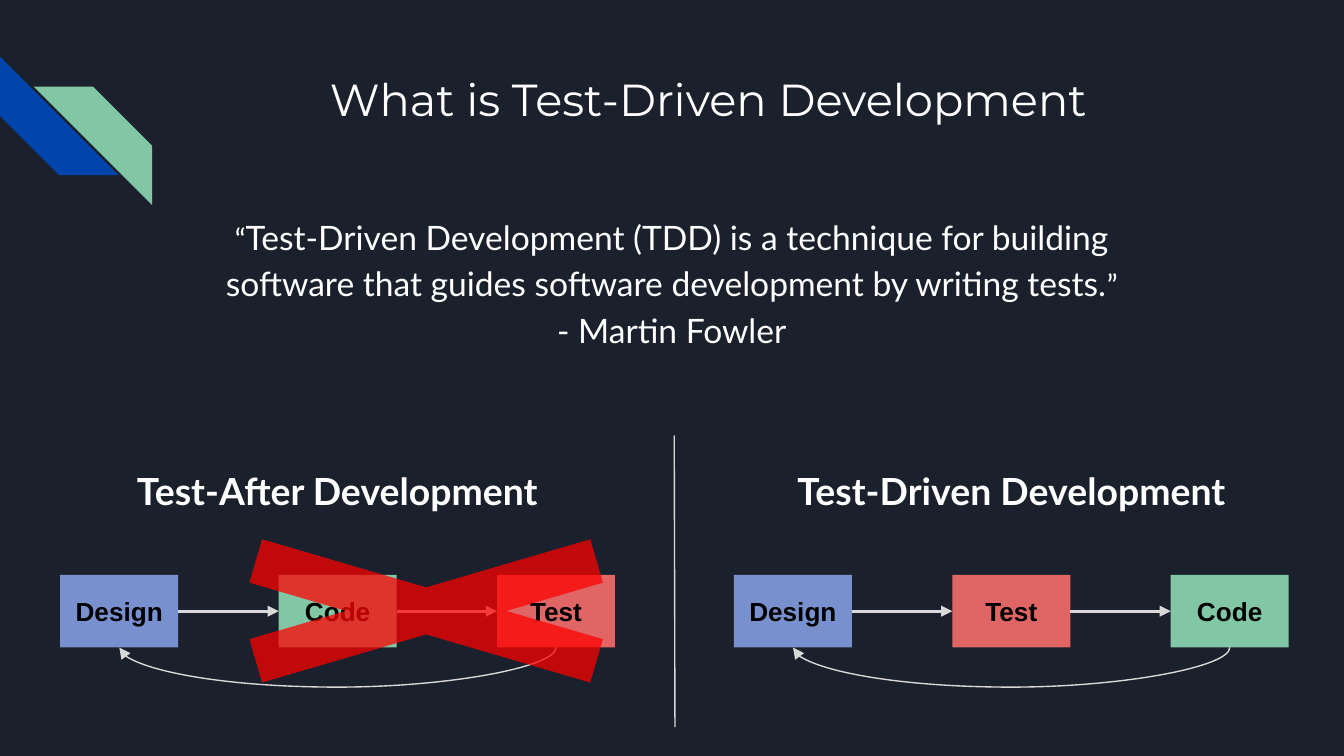
from lxml import etree
from pptx import Presentation
from pptx import util as u
from pptx.dml.color import RGBColor
from pptx.enum import shapes, text
from pptx.oxml.ns import qn

NIGHT = RGBColor(0x1B, 0x21, 0x2C)
WHITE = RGBColor(0xFF, 0xFF, 0xFF)
BLACK = RGBColor(0, 0, 0)
NAVY = RGBColor(0x01, 0x45, 0xAC)
GREEN = RGBColor(0x82, 0xC7, 0xA5)
BLUE = RGBColor(0x78, 0x90, 0xCD)
CORAL = RGBColor(0xE0, 0x66, 0x66)
RED = RGBColor(0xFF, 0, 0)
SILVER = RGBColor(0xD9, 0xD9, 0xD9)

STEP_WIDTH, STEP_HEIGHT, STEP_TOP, STEP_PITCH = 63.2, 38.9, 308, 117
LOOP_DEPTH, LOOP_SPAN = 18.75, 0.05
STEP_COLORS = {"Design": BLUE, "Code": GREEN, "Test": CORAL}


def write(para, words, size=18, font="Lato", color=WHITE, bold=False):
    span = para.add_run()
    span.text = words
    span.font.size = u.Pt(size)
    span.font.name = font
    span.font.color.rgb = color
    span.font.bold = bold


class Sketch:
    heading = {"size": 20, "bold": True}
    label = {"size": 14, "font": "Arial", "color": BLACK, "bold": True}
    inset = 7.2

    def __init__(self, deck):
        self.page = deck.slides.add_slide(deck.slide_layouts[6])
        self.page.background.fill.solid()
        self.page.background.fill.fore_color.rgb = NIGHT

    def frame(self, box, anchor):
        frame = box.text_frame
        frame.word_wrap = True
        frame.vertical_anchor = anchor
        frame.margin_left = frame.margin_right = u.Pt(self.inset)
        frame.margin_top = frame.margin_bottom = u.Pt(self.inset)
        return frame

    def textbox(self, left, top, width, height, lines, spacing=1.0):
        box = self.page.shapes.add_textbox(*map(u.Pt, (left, top, width, height)))
        frame = self.frame(box, text.MSO_ANCHOR.TOP)
        for index, spans in enumerate(lines):
            para = frame.add_paragraph() if index else frame.paragraphs[0]
            para.alignment = text.PP_ALIGN.CENTER
            para.line_spacing = spacing
            for words, style in spans:
                write(para, words, **style)

    def shape(self, kind, left, top, width, height, color, adjust=None):
        shape = self.page.shapes.add_shape(kind, *map(u.Pt, (left, top, width, height)))
        shape.shadow.inherit = False
        shape.fill.solid()
        shape.fill.fore_color.rgb = color
        shape.line.fill.background()
        if adjust is not None:
            shape.adjustments[0] = adjust
        return shape

    def step(self, left, name):
        box = self.shape(shapes.MSO_SHAPE.RECTANGLE, left, STEP_TOP,
                         STEP_WIDTH, STEP_HEIGHT, STEP_COLORS[name])
        para = self.frame(box, text.MSO_ANCHOR.MIDDLE).paragraphs[0]
        para.alignment = text.PP_ALIGN.CENTER
        write(para, name, **self.label)

    def line(self, x1, y1, x2, y2, weight=0.75, arrow=False,
             kind=shapes.MSO_CONNECTOR.STRAIGHT):
        line = self.page.shapes.add_connector(kind, *map(u.Pt, (x1, y1, x2, y2)))
        line.line.color.rgb = SILVER
        line.line.width = u.Pt(weight)
        if arrow:
            etree.SubElement(line.line._get_or_add_ln(), qn("a:tailEnd"), type="triangle")
        etree.SubElement(line._element.spPr, qn("a:effectLst"))
        return line

    def loop(self, left, right, y):
        middle, half = (left + right) / 2, (right - left) / 2
        curve = self.line(middle, y - half, middle + LOOP_SPAN, y + half,
                          arrow=True, kind=shapes.MSO_CONNECTOR.CURVE)
        properties = curve._element.spPr
        properties.find(qn("a:xfrm")).set("rot", "5400000")
        guides = properties.find(qn("a:prstGeom")).find(qn("a:avLst"))
        bend = round(LOOP_DEPTH / LOOP_SPAN * 100000)
        etree.SubElement(guides, qn("a:gd"), name="adj1", fmla=f"val {bend}")

    def flow(self, left, names):
        middle = STEP_TOP + STEP_HEIGHT / 2
        for index, name in enumerate(names):
            start = left + index * STEP_PITCH
            self.step(start, name)
            if index:
                self.line(start - STEP_PITCH + STEP_WIDTH, middle, start, middle,
                          weight=1.5, arrow=True)
        center = left + STEP_WIDTH / 2
        self.loop(center, center + (len(names) - 1) * STEP_PITCH, STEP_TOP + STEP_HEIGHT)

    def cross(self, left, top, width, height):
        cross = self.shape(shapes.MSO_SHAPE.MATH_MULTIPLY, left, top, width, height,
                           RED, adjust=0.235)
        tint = cross._element.spPr.find(qn("a:solidFill"))[0]
        etree.SubElement(tint, qn("a:alpha"), val="73000")

    def stripes(self):
        kind = shapes.MSO_SHAPE.DIAGONAL_STRIPE
        lower = self.shape(kind, 0, 30.3, 63.5, 63.5, NAVY, adjust=0.5)
        lower.rotation = 270
        upper = self.shape(kind, 18.1, 46.4, 63.5, 63.5, GREEN, adjust=0.5)
        upper._element.spPr.find(qn("a:xfrm")).set("flipH", "1")


def main():
    deck = Presentation()
    deck.slide_width, deck.slide_height = u.Pt(720), u.Pt(405)
    sketch = Sketch(deck)
    sketch.stripes()
    sketch.textbox(102.2, 31, 554.4, 72, [
        [("What is Test-Driven Development", {"size": 24, "font": "Montserrat"})]])
    sketch.textbox(108.9, 105.8, 502, 124.6, [
        [("“", {"size": 16}),
         ("Test-Driven Development (TDD) is a technique for building software "
          "that guides software development by writing tests.", {}),
         ("”", {"size": 16})],
        [("- Martin Fowler", {})]], spacing=1.15)
    sketch.flow(393.2, ["Design", "Test", "Code"])
    sketch.flow(32.3, ["Design", "Code", "Test"])
    sketch.cross(52.6, 275.8, 351.4, 103)
    sketch.textbox(64.1, 243.4, 233.3, 38.9, [[("Test-After Development", sketch.heading)]])
    sketch.textbox(412.6, 243.4, 258.5, 38.9, [[("Test-Driven Development", sketch.heading)]])
    sketch.line(361.2, 233.3, 361.6, 389.5)
    deck.save("out.pptx")


if __name__ == "__main__":
    main()
